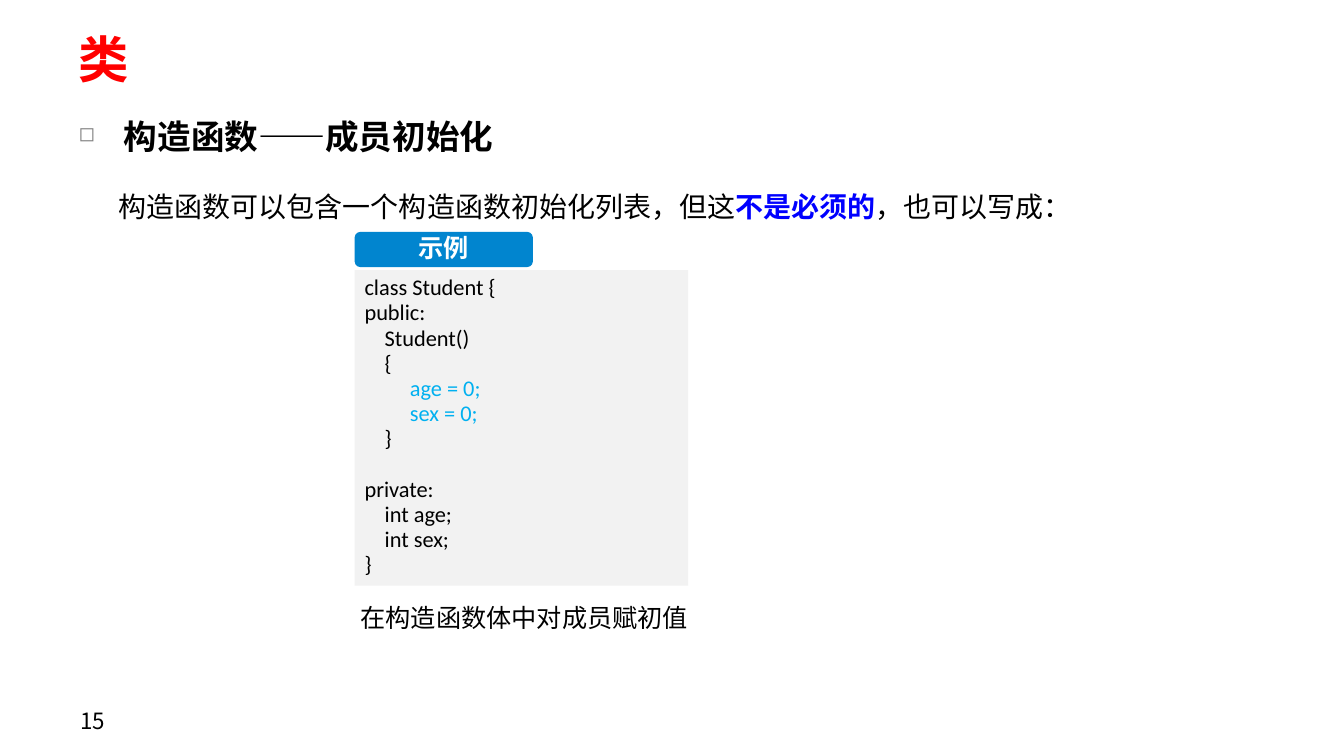
"""Build a slide on initialising class members in a constructor body."""
from lxml import etree
from pptx import Presentation
from pptx.dml.color import RGBColor
from pptx.enum.shapes import MSO_SHAPE
from pptx.enum.text import MSO_ANCHOR, MSO_AUTO_SIZE, PP_ALIGN
from pptx.oxml.ns import qn
from pptx.util import Pt

PX = 9144
CJK = "Noto Sans CJK SC"
BLACK, WHITE, RED, BLUE, CYAN = "000000", "FFFFFF", "FF0000", "0000FF", "00B0F0"
TOP, MIDDLE = MSO_ANCHOR.TOP, MSO_ANCHOR.MIDDLE
LEFT, CENTER = PP_ALIGN.LEFT, PP_ALIGN.CENTER
NO_AUTOFIT = MSO_AUTO_SIZE.NONE
RECTANGLE, ROUNDED = MSO_SHAPE.RECTANGLE, MSO_SHAPE.ROUNDED_RECTANGLE


def style_font(font, size, color, bold=False, name=CJK):
    font.size, font.bold, font.name = Pt(size), bold, name
    font.color.rgb = RGBColor.from_string(color)
    etree.SubElement(font._element if hasattr(font, "_element") else font._rPr,
                     qn("a:ea"), typeface=name)


def set_frame(shape, anchor=TOP, inset_x=10, inset_y=5, wrap=True):
    frame = shape.text_frame
    frame.auto_size = NO_AUTOFIT
    frame.word_wrap = wrap
    frame.vertical_anchor = anchor
    frame.margin_left = frame.margin_right = inset_x * PX
    frame.margin_top = frame.margin_bottom = inset_y * PX
    return frame


presentation = Presentation()
presentation.slide_width, presentation.slide_height = 1334 * PX, 750 * PX
slide = presentation.slides.add_slide(presentation.slide_layouts[5])
shapes = slide.shapes

title = shapes.title
title.left, title.top, title.width, title.height = 65 * PX, 28 * PX, 1213 * PX, 59 * PX
paragraph = set_frame(title, MIDDLE, 13, 7).paragraphs[0]
paragraph.text = "类"
paragraph.alignment = LEFT
style_font(paragraph.font, 36, RED, bold=True)

heading = shapes.add_textbox(65 * PX, 92 * PX, 1213 * PX, 71 * PX)
paragraph = set_frame(heading, TOP, 13, 7).paragraphs[0]
paragraph.text = "构造函数——成员初始化"
paragraph.line_spacing = 1.4
properties = paragraph._p.get_or_add_pPr()
properties.set("marL", str(45 * PX))
properties.set("indent", str(-45 * PX))
bullet_color = etree.SubElement(properties, qn("a:buClr"))
etree.SubElement(bullet_color, qn("a:srgbClr"), val="808080")
etree.SubElement(properties, qn("a:buSzPct"), val="60000")
etree.SubElement(properties, qn("a:buChar"), char="◻")
style_font(paragraph.font, 24, BLACK, bold=True)

page_number = shapes.add_textbox(67 * PX, 695 * PX, 311 * PX, 40 * PX)
paragraph = set_frame(page_number, MIDDLE, 13, 7).paragraphs[0]
paragraph.text = "15"
style_font(paragraph.font, 16, BLACK)

explanation = shapes.add_textbox(108 * PX, 166 * PX, 1134 * PX, 61 * PX)
paragraph = set_frame(explanation).paragraphs[0]
paragraph.line_spacing = 1.5
for text, color, bold in [
    ("构造函数可以包含一个构造函数初始化列表，但这", BLACK, False),
    ("不是必须的", BLUE, True),
    ("，也可以写成：", BLACK, False),
]:
    run = paragraph.add_run()
    run.text = text
    style_font(run.font, 20, color, bold)

code_box = shapes.add_shape(RECTANGLE, 352 * PX, 268 * PX, 331 * PX, 313 * PX)
example_label = shapes.add_shape(ROUNDED, 352 * PX, 230 * PX, 177 * PX, 35 * PX)
for shape, fill in [(code_box, "F2F2F2"), (example_label, "0185CF")]:
    shape.shadow.inherit = False
    shape.fill.solid()
    shape.fill.fore_color.rgb = RGBColor.from_string(fill)
    shape.line.fill.background()

code = """class Student {
public:
    Student()
    {
         age = 0;
         sex = 0;
    }
private:
    int age;
    int sex;
}"""
frame = set_frame(code_box)
for index, line in enumerate(code.split("\n")):
    paragraph = frame.add_paragraph() if index else frame.paragraphs[0]
    paragraph.text = line
    paragraph.alignment = LEFT
    paragraph.line_spacing = Pt(18)
    if line == "private:":
        paragraph.space_before = Pt(18)
    style_font(paragraph.font, 16, CYAN if "= 0" in line else BLACK, name="Calibri")

paragraph = set_frame(example_label, MIDDLE, 6, 3).paragraphs[0]
paragraph.text = "示例"
paragraph.alignment = CENTER
paragraph.line_spacing = Pt(18)
style_font(paragraph.font, 18, WHITE, bold=True)

caption = shapes.add_textbox(348 * PX, 593 * PX, 348 * PX, 40 * PX)
paragraph = set_frame(caption, wrap=False).paragraphs[0]
paragraph.text = "在构造函数体中对成员赋初值"
style_font(paragraph.font, 18, BLACK)

presentation.save("out.pptx")
